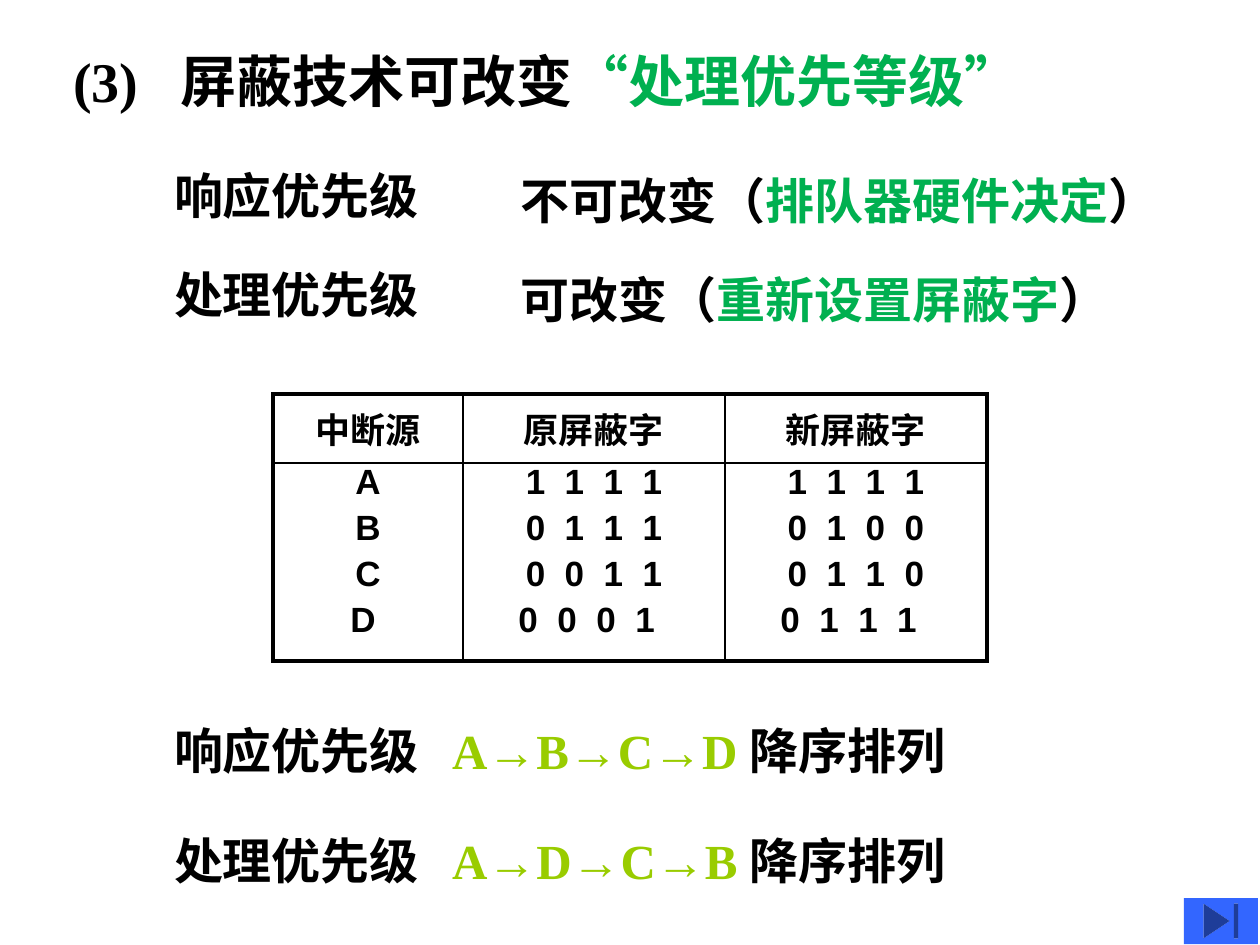
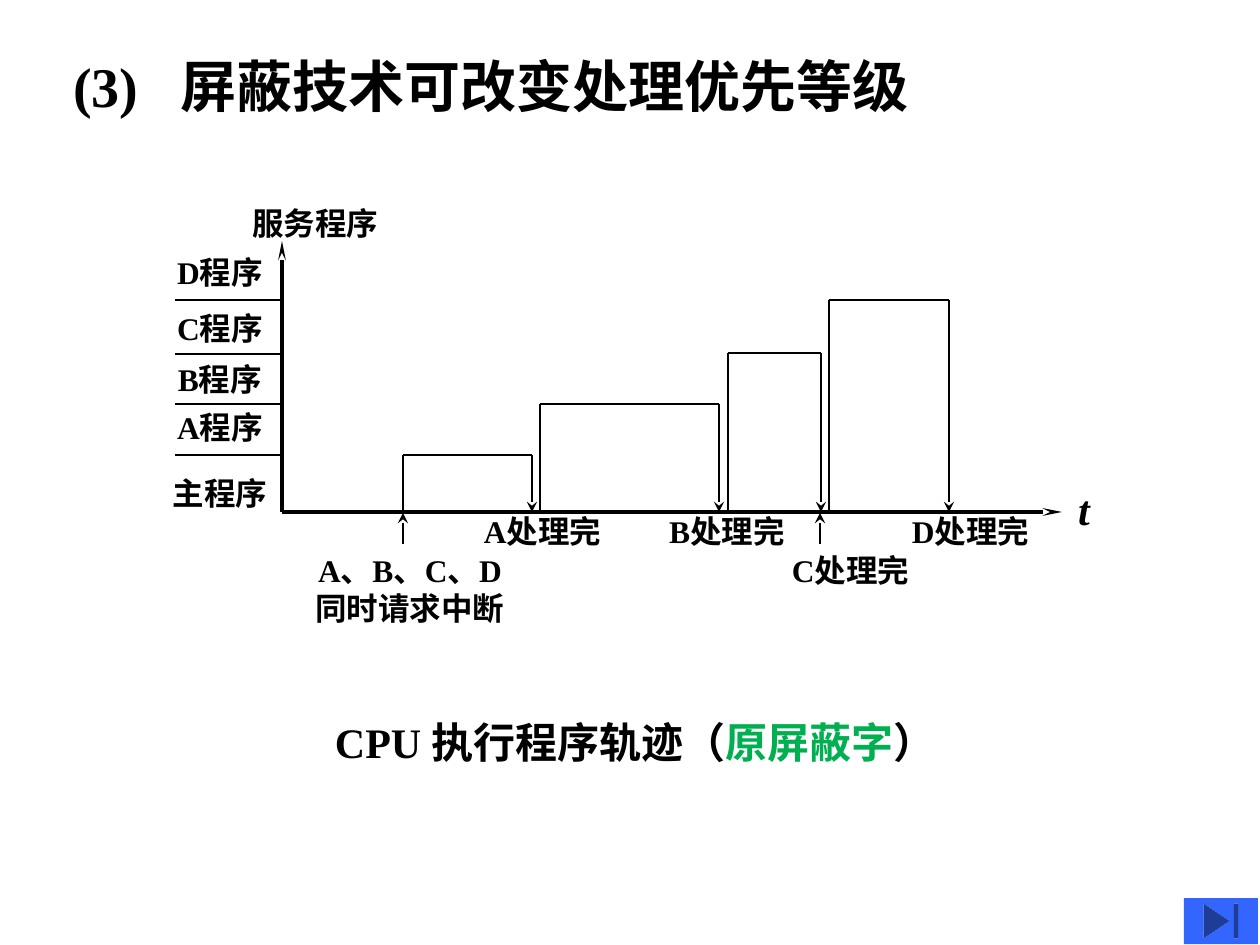
"""Two slides on how interrupt masking changes the processing priority."""
from lxml import etree
from pptx import Presentation
from pptx import util as u
from pptx.dml.color import RGBColor
from pptx.enum import shapes, text
from pptx.oxml.ns import qn

PX = 914400 / 126
COLORS = {"ink": "000000", "key": "00B050", "order": "99CC00", "button": "3366FF"}
SERIF, SANS = "Times New Roman", "Arial"
LEFT, CENTER = text.PP_ALIGN.LEFT, text.PP_ALIGN.CENTER
TOP, MIDDLE = text.MSO_ANCHOR.TOP, text.MSO_ANCHOR.MIDDLE

TITLE_TAB, ORDER_TAB = 107, 278
BUTTON = (1184, 898, 74, 46)

PRIORITY = {
    "title": ["(3)\t屏蔽技术可改变", ("“处理优先等级”", "key")],
    "title_box": (73, 45, 1040, 70),
    "statements": [
        ((174, 165, 295, 59), ["响应优先级"]),
        ((521, 165, 640, 69), ["不可改变（", ("排队器硬件决定", "key"), "）"]),
        ((174, 264, 295, 59), ["处理优先级"]),
        ((521, 264, 640, 69), ["可改变（", ("重新设置屏蔽字", "key"), "）"]),
        ((174, 720, 873, 59), ["响应优先级\t", ("A→B→C→D ", "order"), "降序排列"]),
        ((174, 830, 903, 59), ["处理优先级\t", ("A→D→C→B ", "order"), "降序排列"]),
    ],
}
MASKS = {
    "origin": (273, 394),
    "widths": [190, 262, 262],
    "heights": [69, 198],
    "rows": [
        [["中断源"], ["原屏蔽字"], ["新屏蔽字"]],
        [["A", "B", "C", "D "],
         ["1 1 1 1", "0 1 1 1", "0 0 1 1", "0 0 0 1 "],
         ["1 1 1 1", "0 1 0 0", "0 1 1 0", "0 1 1 1 "]],
    ],
}
TRACE = {
    "title": ["(3)\t屏蔽技术可改变处理优先等级"],
    "title_box": (73, 55, 1040, 60),
    "caption": ["CPU 执行程序轨迹（", ("原屏蔽字", "key"), "）"],
    "caption_box": (335, 717, 690, 51),
    "axis_name": ("服务程序", (229, 204, 173, 48)),
    "time": ("t", (1052, 483, 64, 47)),
    "programs": [("D程序", 253), ("C程序", 309), ("B程序", 360), ("A程序", 408), ("主程序", 474)],
    "levels": [300, 354, 404, 455],
    "runs": [(403, 532, 455, 1.5), (540, 719, 404, 1), (728, 821, 353, 1), (829, 949, 300, 1.5)],
    "finished": [
        ("A处理完", (474, 512, 137, 45)), ("B处理完", (650, 512, 154, 40)),
        ("C处理完", (775, 551, 151, 44)), ("D处理完", (902, 512, 137, 45)),
    ],
    "request": (["A、B、C、D", "同时请求中断"], (314, 551, 192, 72)),
    "event_marks": [403, 820],
}
AXIS_X, AXIS_TOP, BASE_Y, AXIS_END = 282, 241, 512, 1062


def px(*lengths):
    return [u.Emu(round(length * PX)) for length in lengths]


def color(name):
    return RGBColor.from_string(COLORS[name])


def write(paragraph, parts, size, font=SERIF, align=LEFT, tab=None, italic=False, spacing=None):
    paragraph.alignment = align
    if tab:
        stops = etree.SubElement(paragraph._p.get_or_add_pPr(), qn("a:tabLst"))
        etree.SubElement(stops, qn("a:tab"), pos=str(px(tab)[0]), algn="l")
    face = paragraph.font
    face.name, face.size, face.bold, face.italic = font, u.Pt(size), True, italic
    face.color.rgb = color("ink")
    for part in parts:
        words, tint = (part, None) if isinstance(part, str) else part
        run = paragraph.add_run()
        run.text = words
        if tint:
            run.font.color.rgb = color(tint)
        if spacing:
            run._r.get_or_add_rPr().set("spc", str(spacing))


def prepare(frame, anchor):
    frame.word_wrap = True
    frame.auto_size = text.MSO_AUTO_SIZE.NONE
    frame.vertical_anchor = anchor
    frame.margin_left = frame.margin_top = frame.margin_right = frame.margin_bottom = 0


def label(slide, box, lines, size, anchor=TOP, **style):
    frame = slide.shapes.add_textbox(*px(*box)).text_frame
    prepare(frame, anchor)
    for i, parts in enumerate(lines):
        paragraph = frame.add_paragraph() if i else frame.paragraphs[0]
        write(paragraph, parts, size, **style)


def line(slide, start, end, weight, arrow=None):
    connector = slide.shapes.add_connector(shapes.MSO_CONNECTOR.STRAIGHT, *px(*start, *end))
    connector.line.color.rgb = color("ink")
    connector.line.width = u.Pt(weight)
    if arrow:
        width, length = arrow
        etree.SubElement(connector.line._get_or_add_ln(), qn("a:tailEnd"),
                         type="stealth", w=width, len=length)
    etree.SubElement(connector._element.spPr, qn("a:effectLst"))


def new_slide(deck, content):
    slide = deck.slides.add_slide(deck.slide_layouts[5])
    title = slide.shapes.title
    title.left, title.top, title.width, title.height = px(*content["title_box"])
    prepare(title.text_frame, MIDDLE)
    write(title.text_frame.paragraphs[0], content["title"], 32, tab=TITLE_TAB)
    button = slide.shapes.add_shape(shapes.MSO_SHAPE.ACTION_BUTTON_END, *px(*BUTTON))
    button.shadow.inherit = False
    button.fill.solid()
    button.fill.fore_color.rgb = color("button")
    button.line.fill.background()
    return slide


def border(cell, row, column, last_row, last_column):
    outer = {"L": column == 0, "R": column == last_column, "T": row == 0, "B": row == last_row}
    for side, is_outer in outer.items():
        edge = etree.SubElement(cell._tc.get_or_add_tcPr(), qn("a:ln" + side),
                                w=str(u.Pt(2.25 if is_outer else 1)))
        fill = etree.SubElement(edge, qn("a:solidFill"))
        etree.SubElement(fill, qn("a:srgbClr"), val=COLORS["ink"])


def mask_table(slide):
    rows, widths, heights = MASKS["rows"], MASKS["widths"], MASKS["heights"]
    size = (sum(widths), sum(heights))
    table = slide.shapes.add_table(len(rows), len(widths), *px(*MASKS["origin"], *size)).table
    table.first_row = table.horz_banding = False
    for column, width in zip(table.columns, px(*widths)):
        column.width = width
    for row, height in zip(table.rows, px(*heights)):
        row.height = height
    for r, cells in enumerate(rows):
        for c, lines in enumerate(cells):
            cell = table.cell(r, c)
            cell.margin_left = cell.margin_right = cell.margin_top = cell.margin_bottom = 0
            cell.vertical_anchor = TOP if r else MIDDLE
            border(cell, r, c, len(rows) - 1, len(widths) - 1)
            cell.fill.background()
            for i, words in enumerate(lines):
                paragraph = cell.text_frame.add_paragraph() if i else cell.text_frame.paragraphs[0]
                write(paragraph, [words], 20, SANS, CENTER, spacing=278 if r and c else None)
                if i:
                    paragraph.space_before = u.Pt(4)


def priority_slide(deck):
    slide = new_slide(deck, PRIORITY)
    for box, parts in PRIORITY["statements"]:
        label(slide, box, [parts], 28, MIDDLE, tab=ORDER_TAB)
    mask_table(slide)


def trace_slide(deck):
    slide = new_slide(deck, TRACE)
    axis_head, mark_head = ("sm", "lg"), ("med", "med")
    line(slide, (AXIS_X, BASE_Y), (AXIS_END, BASE_Y), 2.25, axis_head)
    line(slide, (AXIS_X, BASE_Y), (AXIS_X, AXIS_TOP), 2.25, axis_head)
    for level in TRACE["levels"]:
        line(slide, (175, level), (AXIS_X, level), 0.75)
    for start, end, level, fall_weight in TRACE["runs"]:
        line(slide, (start, BASE_Y), (start, level), 1.5)
        line(slide, (start, level), (end, level), 1.5)
        line(slide, (end, level), (end, BASE_Y), fall_weight, mark_head)
    for x in TRACE["event_marks"]:
        line(slide, (x, 544), (x, BASE_Y + 1), 0.75, mark_head)

    programs = [(name, (164, top, 112, 47)) for name, top in TRACE["programs"]]
    for name, box in [TRACE["axis_name"], *programs, *TRACE["finished"]]:
        label(slide, box, [[name]], 18, align=CENTER)
    request, request_box = TRACE["request"]
    label(slide, request_box, [[words] for words in request], 18, align=CENTER)
    time, time_box = TRACE["time"]
    label(slide, time_box, [[time]], 24, align=CENTER, italic=True)
    label(slide, TRACE["caption_box"], [TRACE["caption"]], 24)


def main():
    deck = Presentation()
    deck.slide_width, deck.slide_height = px(1260, 945)
    priority_slide(deck)
    trace_slide(deck)
    deck.save("out.pptx")


if __name__ == "__main__":
    main()
